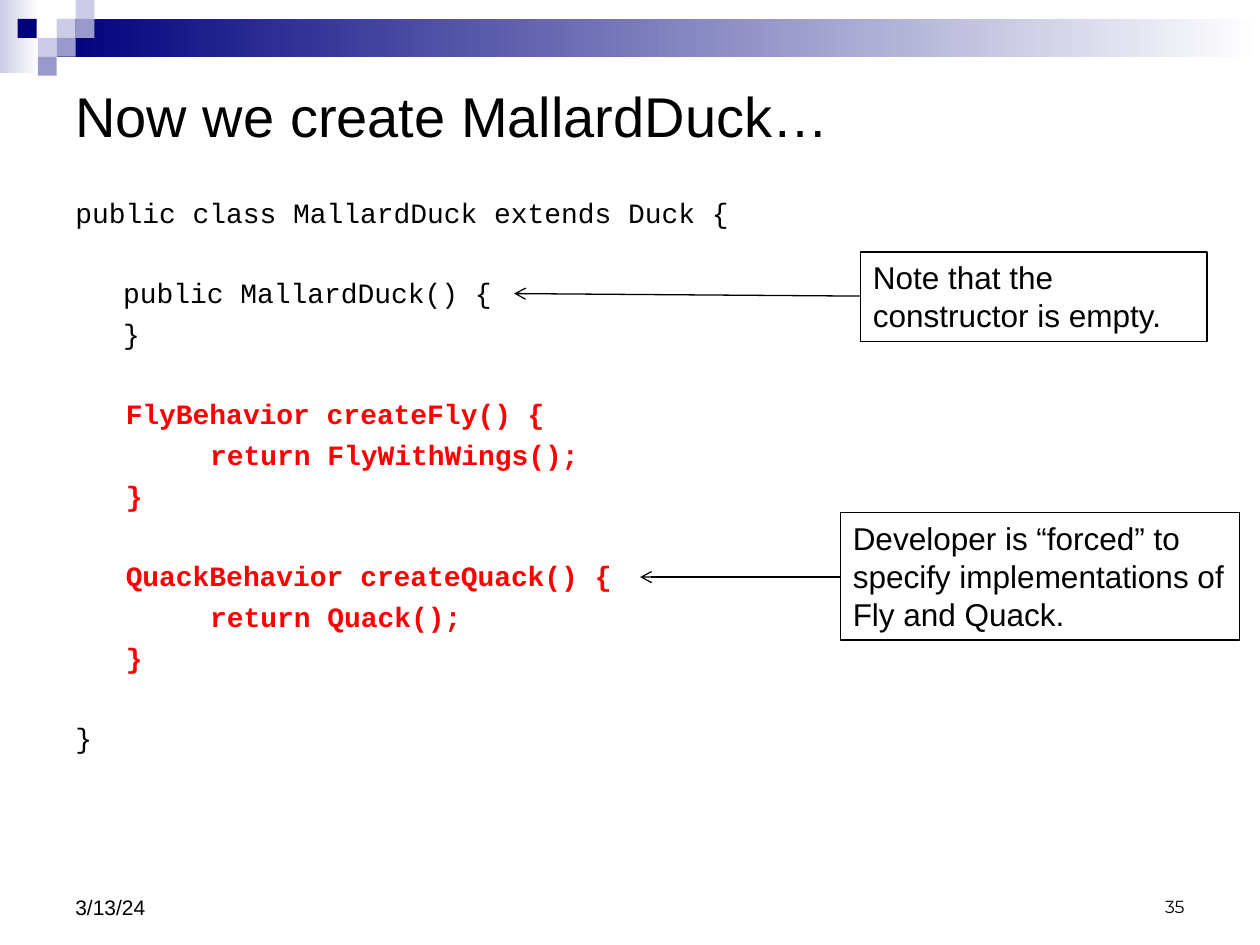
from lxml.etree import SubElement
from pptx import Presentation
from pptx.dml.color import RGBColor
from pptx.enum.shapes import MSO_CONNECTOR as Connector, MSO_SHAPE as Shape
from pptx.enum.text import MSO_ANCHOR as Anchor, PP_ALIGN as Align
from pptx.oxml.ns import qn
from pptx.util import Inches, Pt

BLACK, RED, WHITE = "000000", "FF0000", "FFFFFF"
NAVY, LAVENDER, PERIWINKLE = "00007D", "CCCCE6", "9999CC"

BANDS = [
    (0, 0, 0.31, 0.58, LAVENDER),
    (0.45, 0.15, 9.55, 0.3, NAVY),
]
TILE = 0.15
TILES = [
    (0.45, 0.15, LAVENDER),
    (0.6, 0, LAVENDER),
    (0.6, 0.15, PERIWINKLE),
    (0.3, 0.3, LAVENDER),
    (0.14, 0.15, NAVY),
    (0.45, 0.3, PERIWINKLE),
    (0.3, 0.45, PERIWINKLE),
]

MEMBER, METHOD, STATEMENT = 0.38, 0.4, 1.07
LINE_GAP, BLOCK_GAP = 4.2, 26.6
CODE = [
    ("public class MallardDuck extends Duck {", 0, LINE_GAP, BLACK),
    ("public MallardDuck() {", MEMBER, BLOCK_GAP, BLACK),
    ("}", MEMBER, LINE_GAP, BLACK),
    ("FlyBehavior createFly() {", METHOD, BLOCK_GAP, RED),
    ("return FlyWithWings();", STATEMENT, LINE_GAP, RED),
    ("}", METHOD, LINE_GAP, RED),
    ("QuackBehavior createQuack() {", METHOD, BLOCK_GAP, RED),
    ("return Quack();", STATEMENT, LINE_GAP, RED),
    ("}", METHOD, LINE_GAP, RED),
    ("}", 0, BLOCK_GAP, BLACK),
]

NOTES = [
    ("Developer is “forced” to specify implementations of Fly and Quack.",
     (6.67, 4.07, 3.17, 1.01), (6.67, 4.58, 5.08, 4.58)),
    ("Note that the constructor is empty.",
     (6.83, 2, 2.75, 0.71), (6.83, 2.35, 4.08, 2.33)),
]


def color(hex_code):
    return RGBColor.from_string(hex_code)


def lengths(values):
    return [Inches(value) for value in values]


def apply(target, values):
    for name, value in values.items():
        setattr(target, name, value)


def style_line(line):
    line.color.rgb = color(BLACK)
    line.width = Pt(0.75)


def write(paragraph, text, size, font="Arial", ink=BLACK, bold=False):
    run = paragraph.add_run()
    run.text = text
    apply(run.font, {"name": font, "size": Pt(size), "bold": bold})
    run.font.color.rgb = color(ink)


def add_rect(slide, box):
    rect = slide.shapes.add_shape(Shape.RECTANGLE, *lengths(box))
    rect.shadow.inherit = False
    return rect


def add_band(slide, left, top, width, height, start):
    band = add_rect(slide, (left, top, width, height))
    band.line.fill.background()
    band.fill.gradient()
    band.fill.gradient_angle = 0
    for stop, shade, position in zip(band.fill.gradient_stops, (start, WHITE), (0, 1)):
        apply(stop, {"position": position})
        stop.color.rgb = color(shade)


def add_tile(slide, left, top, shade):
    tile = add_rect(slide, (left, top, TILE, TILE))
    tile.line.fill.background()
    tile.fill.solid()
    tile.fill.fore_color.rgb = color(shade)


def add_frame(slide, box, anchor=Anchor.TOP):
    frame = slide.shapes.add_textbox(*lengths(box)).text_frame
    apply(frame, {"word_wrap": True, "vertical_anchor": anchor})
    return frame


def add_label(slide, text, box, anchor, size, align=Align.LEFT, font="Arial"):
    line = add_frame(slide, box, anchor).paragraphs[0]
    line.alignment = align
    write(line, text, size, font)


def add_code(slide, box):
    frame = add_frame(slide, box)
    for index, (text, indent, gap, ink) in enumerate(CODE):
        line = frame.add_paragraph() if index else frame.paragraphs[0]
        line.space_before = Pt(gap)
        line._p.get_or_add_pPr().set("marL", str(Inches(indent)))
        write(line, text, 16, "Courier New", ink, ink == RED)


def add_note(slide, text, box):
    note = add_rect(slide, box)
    note.fill.background()
    style_line(note.line)
    apply(note.text_frame, {"word_wrap": True, "vertical_anchor": Anchor.TOP})
    line = note.text_frame.paragraphs[0]
    line.alignment = Align.LEFT
    write(line, text, 18)


def add_arrow(slide, ends):
    arrow = slide.shapes.add_connector(Connector.STRAIGHT, *lengths(ends))
    style_line(arrow.line)
    SubElement(arrow.line._get_or_add_ln(), qn("a:tailEnd"), type="arrow")
    SubElement(arrow._element.spPr, qn("a:effectLst"))


def main():
    deck = Presentation()
    apply(deck, {"slide_width": Inches(10), "slide_height": Inches(7.5)})
    slide = deck.slides.add_slide(deck.slide_layouts[6])
    for band in BANDS:
        add_band(slide, *band)
    for tile in TILES:
        add_tile(slide, *tile)
    add_label(slide, "Now we create MallardDuck…", (0.5, 0.5, 9, 0.83), Anchor.MIDDLE, 32)
    add_code(slide, (0.5, 1.5, 9, 4.92))
    add_label(slide, "35", (7.17, 6.83, 2.33, 0.5), Anchor.BOTTOM, 10, Align.RIGHT, "Montserrat")
    add_label(slide, "3/13/24", (0.5, 6.83, 2.33, 0.52), Anchor.BOTTOM, 12)
    for text, box, ends in NOTES:
        add_note(slide, text, box)
        add_arrow(slide, ends)
    deck.save("out.pptx")


if __name__ == "__main__":
    main()
